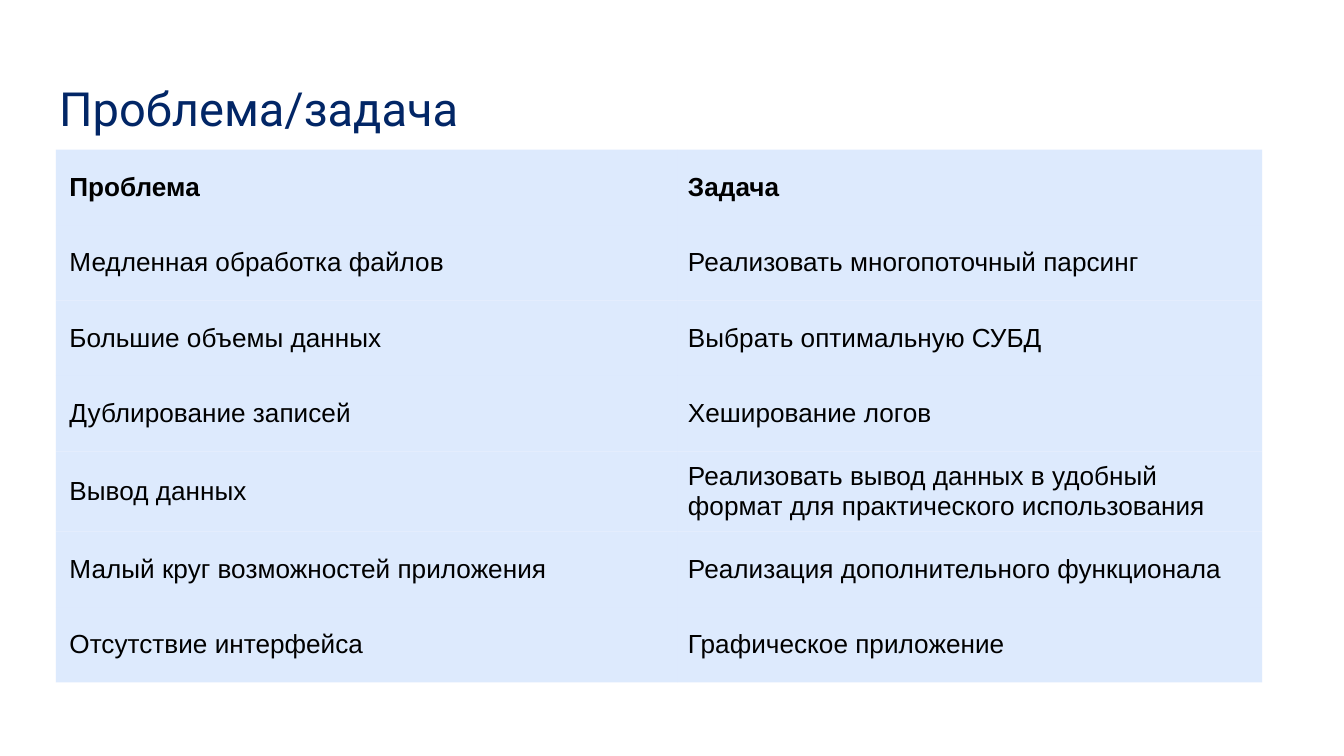
"""Builds the problem/task table slide."""
from lxml import etree
from pptx import Presentation
from pptx.dml.color import RGBColor
from pptx.enum import text
from pptx.oxml.ns import qn
from pptx.util import Pt

THEME = {
    "title": {"name": "Roboto", "size": Pt(25.2), "bold": False, "color": RGBColor.from_string("022666")},
    "header": {"name": "Arial", "size": Pt(14), "bold": True, "color": RGBColor.from_string("000000")},
    "body": {"name": "Arial", "size": Pt(14), "bold": False, "color": RGBColor.from_string("000000")},
    "cell_fill": RGBColor.from_string("D9E7FD"),
    "cell_alpha": "87000",
    "table_style": "{2D5ABB26-0587-4C30-8999-92F81FD0307C}",
}
PAIRS = [
    ("Проблема", "Задача"),
    ("Медленная обработка файлов", "Реализовать многопоточный парсинг"),
    ("Большие объемы данных", "Выбрать оптимальную СУБД"),
    ("Дублирование записей", "Хеширование логов"),
    ("Вывод данных", "Реализовать вывод данных в удобный формат для практического использования"),
    ("Малый круг возможностей приложения", "Реализация дополнительного функционала"),
    ("Отсутствие интерфейса", "Графическое приложение"),
]
COLUMN_WIDTHS = [Pt(332.8), Pt(313.4)]
ROW_HEIGHT = Pt(40.4)


def set_all(target, values):
    for name, value in values.items():
        setattr(target, name, value)


def write(paragraph, words, style):
    run = paragraph.add_run()
    run.text = words
    set_all(run.font, {key: style[key] for key in ("name", "size", "bold")})
    run.font.color.rgb = style["color"]


deck = Presentation()
set_all(deck, {"slide_width": Pt(720), "slide_height": Pt(405)})
slide = deck.slides.add_slide(deck.slide_layouts[5])

heading = slide.shapes.title
set_all(heading, {"left": Pt(24.5), "top": Pt(35.3), "width": Pt(671), "height": Pt(45.4)})
set_all(heading.text_frame, {
    "margin_left": Pt(7.2), "margin_right": Pt(7.2), "margin_top": Pt(7.2), "margin_bottom": Pt(7.2),
    "vertical_anchor": text.MSO_ANCHOR.TOP, "word_wrap": True, "auto_size": text.MSO_AUTO_SIZE.NONE,
})
heading_line = heading.text_frame.paragraphs[0]
heading_line.alignment = text.PP_ALIGN.LEFT
write(heading_line, "Проблема/задача", THEME["title"])

frame = slide.shapes.add_table(
    len(PAIRS), 2, Pt(30), Pt(80.2), sum(COLUMN_WIDTHS), ROW_HEIGHT * len(PAIRS))
problems = frame.table
set_all(problems, {"first_row": False, "horz_banding": False})
frame._element.find(".//" + qn("a:tableStyleId")).text = THEME["table_style"]
for column, width in zip(problems.columns, COLUMN_WIDTHS):
    column.width = width

for row_index, pair in enumerate(PAIRS):
    problems.rows[row_index].height = ROW_HEIGHT
    for column_index, words in enumerate(pair):
        cell = problems.cell(row_index, column_index)
        set_all(cell, {
            "margin_left": Pt(5.8 if column_index else 7.2), "margin_right": Pt(5.8),
            "margin_top": Pt(5.8), "margin_bottom": Pt(5.8),
            "vertical_anchor": text.MSO_ANCHOR.MIDDLE,
        })
        cell.fill.solid()
        cell.fill.fore_color.rgb = THEME["cell_fill"]
        tint = cell._tc.tcPr.find(".//" + qn("a:srgbClr"))
        etree.SubElement(tint, qn("a:alpha"), val=THEME["cell_alpha"])
        write(cell.text_frame.paragraphs[0], words, THEME["body" if row_index else "header"])

deck.save("out.pptx")
